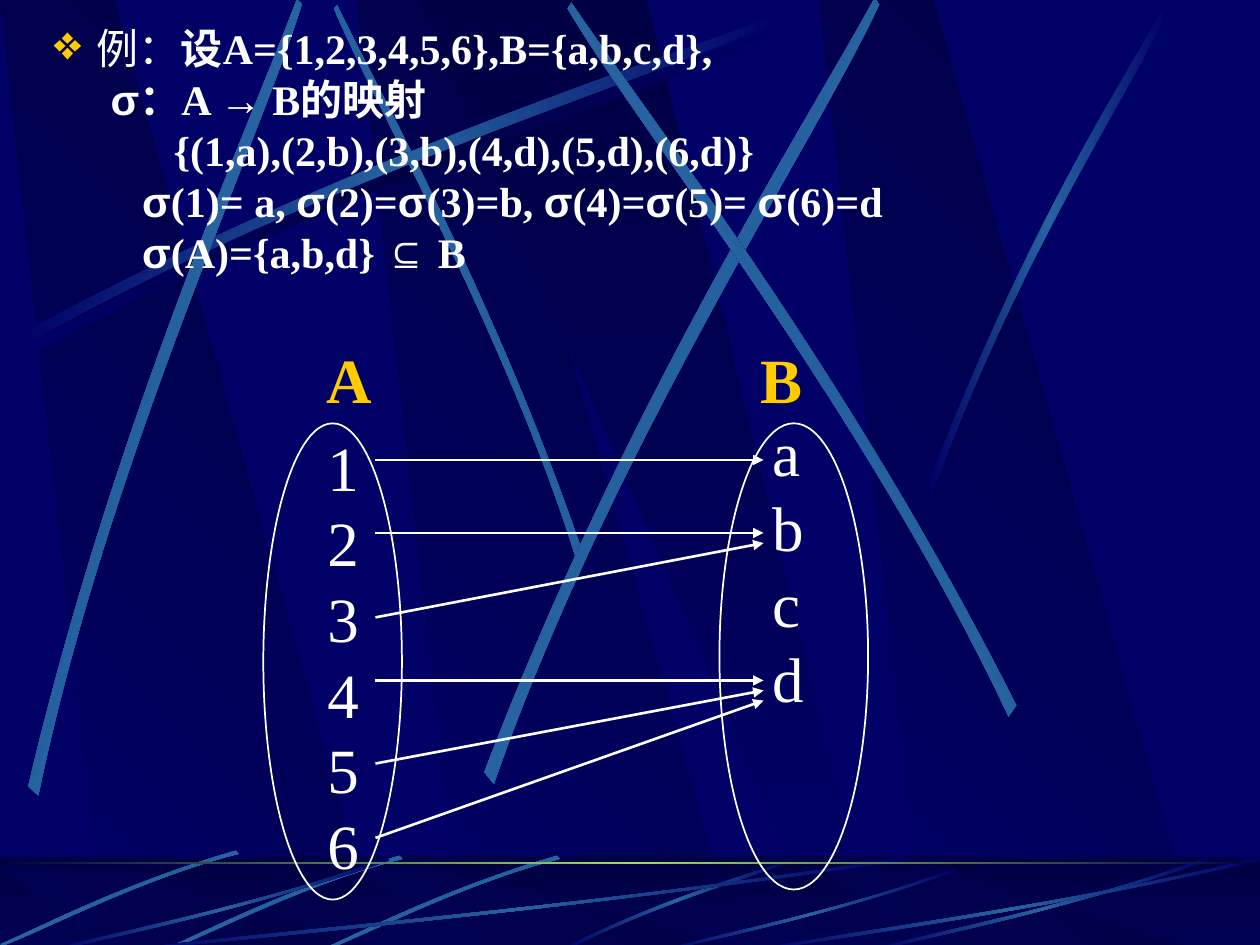
from lxml import etree
from pptx import Presentation, util as u
from pptx.dml.color import RGBColor
from pptx.enum import shapes, text
from pptx.oxml import ns

WIDE, HIGH = 10, 7.5
NIGHT, NAVY, STEEL, LIME = "000044", "000066", "2663A0", "9CE157"
GOLD, WHITE = "FFCC00", "FFFFFF"
SERIF, SANS = "Times New Roman", "Arial"
GLOW = (NAVY, STEEL, NAVY)
SHADE = (NAVY, NIGHT, NAVY)
DUSK = (NIGHT, NAVY)

SLANT = [(0.28, 1), (1, 1), (0.3, 0), (0, 0)]
WEDGE = [(0, 0), (0.9, 1), (1, 1), (0.5, 0)]
STREAK = [(0, 0.96), (0.43, 0.43), (0.83, 0.15), (1, 0),
          (1, 0.02), (0.84, 0.19), (0.38, 0.5), (0, 1)]
SWEEP = [(1, 0.04), (0.57, 0.57), (0.17, 0.85), (0, 1),
         (0, 0.98), (0.16, 0.81), (0.62, 0.51), (1, 0)]


def hue(code):
    return RGBColor.from_string(code)


def add_tag(parent, tag, **attrs):
    return etree.SubElement(parent, ns.qn(tag), attrs)


def tint(shape, codes, angle):
    shape.fill.background()
    blank = shape._element.spPr.find(ns.qn("a:noFill"))
    grad = etree.Element(ns.qn("a:gradFill"), rotWithShape="1")
    stops = add_tag(grad, "a:gsLst")
    for i, code in enumerate(codes):
        stop = add_tag(stops, "a:gs", pos=str(100000 * i // (len(codes) - 1)))
        add_tag(stop, "a:srgbClr", val=str(hue(code)))
    add_tag(grad, "a:lin", ang=str(angle * 60000), scaled="0")
    blank.getparent().replace(blank, grad)


def add_form(slide, points, box, codes, angle, turn=0, flip=False):
    x, y, w, h = box
    spots = [(u.Inches(x + w * (1 - px if flip else px)), u.Inches(y + h * py))
             for px, py in points]
    pen = slide.shapes.build_freeform(*spots[0])
    pen.add_line_segments(spots[1:])
    form = pen.convert_to_shape()
    form.shadow.inherit = False
    form.line.fill.background()
    form.rotation = turn
    tint(form, codes, angle)
    return form


def add_ray(slide, curve, box, codes=GLOW, turn=0, flip=False):
    angle = (114 if flip else 66) if turn else 180
    form = add_form(slide, curve, box, codes, angle, turn, flip)
    legs = list(form._element.iter(ns.qn("a:lnTo")))
    for first in (0, 4):
        arc = etree.Element(ns.qn("a:cubicBezTo"))
        legs[first].addprevious(arc)
        for leg in legs[first:first + 3]:
            arc.append(leg[0])
            leg.getparent().remove(leg)


def add_bar(slide, top, height, codes, angle):
    bar = slide.shapes.add_shape(shapes.MSO_SHAPE.RECTANGLE, 0, u.Inches(top),
                                 u.Inches(WIDE), u.Inches(height))
    bar.shadow.inherit = False
    bar.line.fill.background()
    tint(bar, codes, angle)
    return bar


def add_bands(slide, top, height):
    for left in (2.83, 0, 6.5):
        add_form(slide, SLANT, (left, top, 3.02, height), DUSK, 135)
    add_form(slide, WEDGE, (3.33, top, 3.61, height), DUSK, 90)


def add_sky(slide):
    add_bands(slide, 0, 7.52)
    add_ray(slide, STREAK, (0.2, 0.18, 6.08, 2.67), SHADE)
    for box, turn, flip in [((1.41, 1.35, 4.42, 1.75), 45, True),
                            ((0.14, 0.1, 6.08, 2.67), 0, False),
                            ((-1.71, 1.82, 6.08, 2.67), 311.7, False),
                            ((2.31, 1.6, 6.24, 3.01), 321.6, False),
                            ((3.23, 1.52, 6.08, 2.67), 34.8, True),
                            ((7.38, 0, 1.89, 3.97), 0, False)]:
        add_ray(slide, STREAK, box, turn=turn, flip=flip)


def add_floor(slide):
    add_bar(slide, 6.8, 0.75, DUSK, 90)
    add_bands(slide, 6.88, 0.66)
    veil = add_bar(slide, 6.8, 0.75, DUSK, 0)
    veil.fill.solid()
    veil.fill.fore_color.rgb = hue(NIGHT)
    tone = next(veil._element.spPr.iter(ns.qn("a:srgbClr")))
    add_tag(tone, "a:alpha", val="50000")
    add_ray(slide, STREAK, (4.48, 6.82, 1.8, 0.73))
    for left, top in [(2.58, 6.76), (1.33, 6.76), (0.03, 6.72)]:
        add_ray(slide, STREAK, (left, top, 1.84, 0.83), turn=314.9, flip=True)
    for left, top, width in [(1, 6.8, 6.17), (0.42, 6.8, 2.67), (5.27, 6.89, 2.31),
                             (6.92, 6.8, 2.67), (6, 6.8, 4)]:
        add_ray(slide, SWEEP, (left, top, width, 7.55 - top))
    add_bar(slide, 6.84, 0.02, (NIGHT, LIME, NIGHT), 180)


def set_font(font, size, code, bold=False):
    font.name, font.size, font.bold = SERIF, u.Pt(size), bold
    font.color.rgb = hue(code)


def add_box(slide, left, top, width, height, wrap):
    box = slide.shapes.add_textbox(*map(u.Inches, (left, top, width, height)))
    box.text_frame.word_wrap = wrap
    return box.text_frame


def add_proof(slide):
    lines = [(0.47, ["例：", "设A={1,2,3,4,5,6},B={a,b,c,d},"]),
             (0.58, ["σ", "：A ", "→", " B的映射"]),
             (1.08, ["{(1,a),(2,b),(3,b),(4,d),(5,d),(6,d)}"]),
             (0.83, ["σ", "(1)= a, ", "σ", "(2)=", "σ", "(3)=b, ", "σ",
                     "(4)=", "σ", "(5)= ", "σ", "(6)=d"]),
             (0.83, ["σ", "(A)={a,b,d} ", "⊆", " B"])]
    frame = add_box(slide, 0.2, 0.21, 9.61, 2.2, True)
    for i, (inset, parts) in enumerate(lines):
        para = frame.add_paragraph() if i else frame.paragraphs[0]
        para.alignment = text.PP_ALIGN.JUSTIFY
        para.line_spacing = 0.8
        para.space_before = u.Pt(6 if i else 0)
        props = para._p.get_or_add_pPr()
        props.set("marL", str(u.Inches(inset)))
        if not i:
            props.set("indent", str(u.Inches(-0.34)))
            add_tag(add_tag(props, "a:buClr"), "a:srgbClr", val=str(hue(GOLD)))
            add_tag(props, "a:buSzPct", val="115000")
            add_tag(props, "a:buChar", char="❖")
        set_font(para.font, 24, WHITE)
        for part in parts:
            run = para.add_run()
            run.text = part
            set_font(run.font, 24, WHITE, part != "例：")
            if part in "σ→⊆":
                run.font.name = SANS


def add_list(slide, left, top, items, code=WHITE, bold=False):
    frame = add_box(slide, left, top, 0.55, 0.6 * len(items) + 0.1, False)
    for i, item in enumerate(items):
        para = frame.add_paragraph() if i else frame.paragraphs[0]
        para.text = item
        set_font(para.font, 36, code, bold)


def add_arrow(slide, start, end):
    arrow = slide.shapes.add_connector(
        shapes.MSO_CONNECTOR.STRAIGHT,
        *map(u.Inches, (2.98, start, 6.06, end)))
    arrow.line.color.rgb = hue(WHITE)
    arrow.line.width = u.Pt(1.5)
    add_tag(arrow.line._get_or_add_ln(), "a:tailEnd", type="triangle")
    add_tag(arrow._element.spPr, "a:effectLst")


def add_oval(slide, left, width, height):
    oval = slide.shapes.add_shape(shapes.MSO_SHAPE.OVAL, *map(
        u.Inches, (left, 3.36, width, height)))
    oval.shadow.inherit = False
    oval.fill.background()
    oval.line.color.rgb = hue(WHITE)
    oval.line.width = u.Pt(1)


def main():
    deck = Presentation()
    deck.slide_width, deck.slide_height = u.Inches(WIDE), u.Inches(HIGH)
    slide = deck.slides.add_slide(deck.slide_layouts[6])
    slide.background.fill.solid()
    slide.background.fill.fore_color.rgb = hue(NAVY)
    add_sky(slide)
    add_floor(slide)
    add_proof(slide)
    add_list(slide, 2.5, 3.35, "123456")
    add_list(slide, 6.03, 3.23, "abcd")
    add_list(slide, 2.49, 2.65, "A", GOLD, True)
    add_list(slide, 5.94, 2.65, "B", GOLD, True)
    for start, end in [(3.65, 3.65), (4.23, 4.23), (4.9, 4.31),
                       (5.4, 5.4), (6.06, 5.48), (6.65, 5.56)]:
        add_arrow(slide, start, end)
    add_oval(slide, 2.09, 1.1, 3.78)
    add_oval(slide, 5.71, 1.18, 3.7)
    deck.save("out.pptx")


if __name__ == "__main__":
    main()
